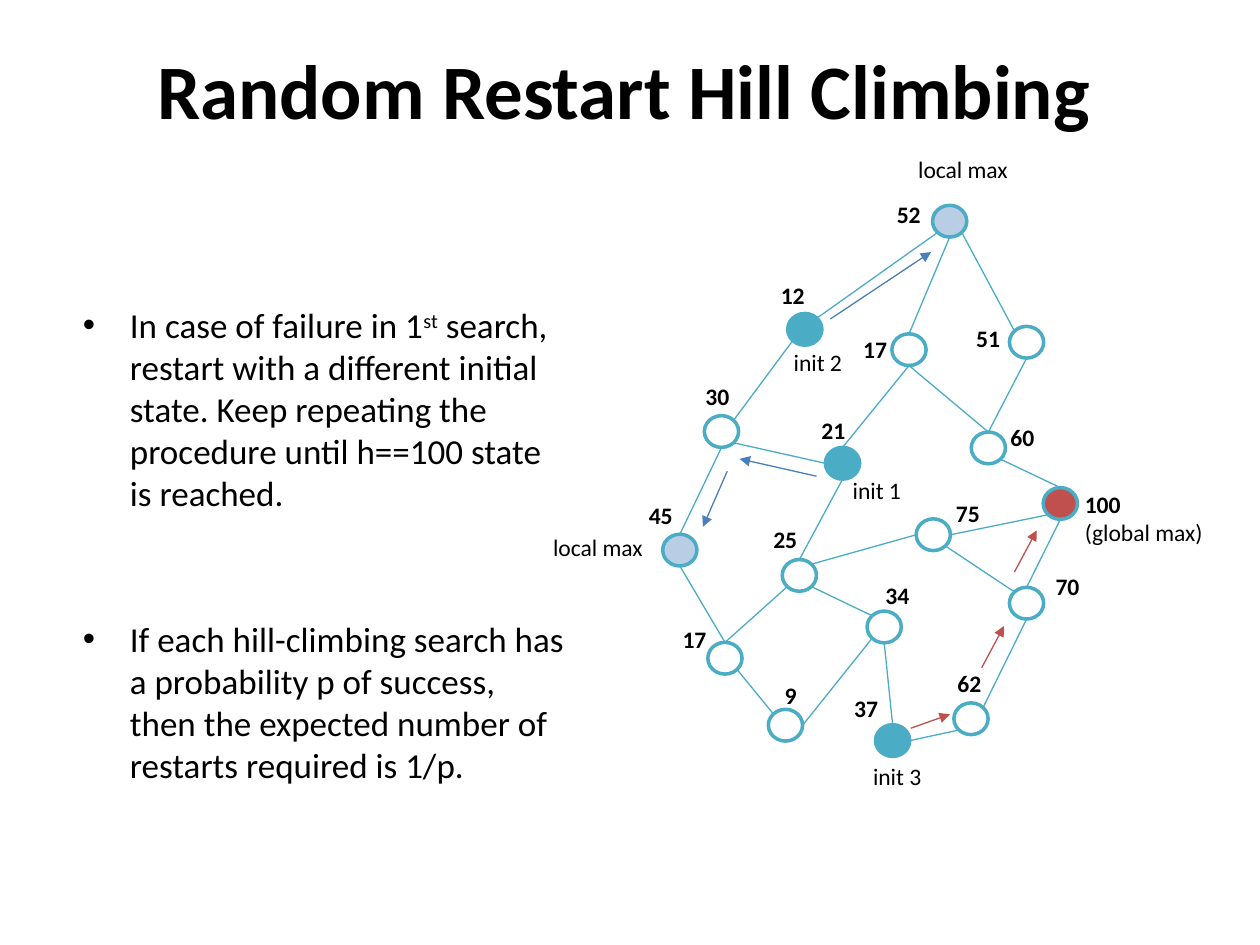
from math import sqrt

from lxml.etree import SubElement
from pptx import Presentation
from pptx.dml.color import RGBColor
from pptx.enum.shapes import MSO_CONNECTOR, MSO_SHAPE
from pptx.enum.text import MSO_ANCHOR, PP_ALIGN
from pptx.oxml.ns import qn
from pptx.util import Cm, Pt

FONT = "Calibri"
COLORS = {
    "text": "000000",
    "graph": "4BACC6",
    "local": "B9CDE5",
    "global": "C0504D",
    "climb": "4B7EBC",
    "success": "C0504D",
}

# Content; all positions and sizes in centimetres
TITLE = "Random Restart Hill Climbing"
BULLETS = [
    [("In case of failure in 1", False), ("st", True),
     (" search, restart with a different initial state. Keep repeating the "
      "procedure until h==100 state is reached.", False)],
    [("If each hill-climbing search has a probability p of success, then the "
      "expected number of restarts required is 1/p.", False)],
]
BULLET_GAP = Pt(59.4)

# state: (value, node left/top, value label left/top, fill)
NODE_W, NODE_H = 0.69, 0.64
STATES = {
    "52": ("52", (18.80, 4.14), (17.83, 3.91), "local"),
    "12": ("12", (15.88, 6.32), (15.49, 5.54), "graph"),
    "17 upper": ("17", (17.98, 6.73), (17.15, 6.63), None),
    "51": ("51", (20.35, 6.58), (19.43, 6.40), None),
    "100": ("100\n(global max)", (21.03, 9.83), (21.62, 9.75), "global"),
    "60": ("60", (19.58, 8.71), (20.12, 8.41), None),
    "21": ("21", (16.64, 9.02), (16.31, 8.26), "graph"),
    "75": ("75", (18.47, 10.46), (19.02, 9.93), None),
    "30": ("30", (14.20, 8.38), (13.97, 7.57), None),
    "25": ("25", (15.77, 11.28), (15.34, 10.46), None),
    "34": ("34", (17.48, 12.32), (17.60, 11.58), None),
    "70": ("70", (20.35, 11.84), (21.03, 11.40), None),
    "62": ("62", (19.23, 14.17), (19.05, 13.36), None),
    "9": ("9", (15.49, 14.30), (15.57, 13.61), None),
    "45": ("45", (13.36, 10.77), (12.83, 9.98), "local"),
    "17 lower": ("17", (14.27, 12.95), (13.51, 12.47), None),
    "37": ("37", (17.65, 14.61), (16.97, 13.87), "graph"),
}

# Each edge leaves and enters a node at a compass point
EDGES = [
    ("52", "SW", "12", "NE"), ("52", "S", "17 upper", "N"),
    ("52", "SE", "51", "NW"), ("30", "NE", "12", "SW"),
    ("21", "N", "17 upper", "S"), ("17 upper", "S", "60", "N"),
    ("51", "S", "60", "N"), ("100", "SW", "75", "E"),
    ("100", "S", "70", "N"), ("60", "SE", "100", "N"),
    ("30", "S", "45", "N"), ("25", "SW", "17 lower", "N"),
    ("17 lower", "SE", "9", "NW"), ("25", "NE", "75", "W"),
    ("9", "E", "34", "SW"), ("25", "SE", "34", "NW"),
    ("37", "N", "34", "S"), ("70", "NW", "75", "SE"),
    ("62", "NE", "70", "S"), ("37", "E", "62", "SW"),
    ("21", "S", "25", "N"), ("30", "SE", "21", "W"),
    ("45", "S", "17 lower", "N"),
]

CAPTIONS = [
    ("local max", (18.26, 3.00)), ("local max", (10.90, 10.62)),
    ("init 1", (16.94, 9.47)), ("init 2", (15.75, 6.88)),
    ("init 3", (17.35, 15.24)),
]
LABEL_WIDTHS = {1: 0.76, 2: 0.99, 6: 1.50, 9: 2.34, 12: 2.92}
LABEL_H, LABEL_LINE = 0.84, 0.58

SEARCH_STEPS = [
    ((16.46, 9.60), (14.91, 9.25), "climb"),
    ((14.66, 9.50), (14.17, 10.62), "climb"),
    ((16.74, 6.43), (18.77, 5.08), "climb"),
    ((18.36, 14.68), (19.15, 14.40), "success"),
    ((19.79, 13.46), (20.24, 12.62), "success"),
    ((20.45, 11.53), (20.90, 10.69), "success"),
]


def rgb(name):
    return RGBColor.from_string(COLORS[name])


def style(font, size, bold=False):
    font.name, font.size, font.bold = FONT, Pt(size), bold
    font.color.rgb = rgb("text")


def add_box(left, top, width, height, wrap=True):
    box = slide.shapes.add_textbox(Cm(left), Cm(top), Cm(width), Cm(height))
    box.text_frame.word_wrap = wrap
    return box.text_frame


def add_label(text, position, bold_first):
    lines = text.split("\n")
    width = LABEL_WIDTHS[max(map(len, lines))]
    frame = add_box(*position, width, LABEL_H + LABEL_LINE * (len(lines) - 1), wrap=False)
    frame.text = text
    for index, paragraph in enumerate(frame.paragraphs):
        style(paragraph.runs[0].font, 13.5, bold_first and index == 0)


def add_line(start, end, color, arrow=False):
    line = slide.shapes.add_connector(
        MSO_CONNECTOR.STRAIGHT, *(Cm(value) for value in (*start, *end)))
    line.line.color.rgb = rgb(color)
    line.line.width = Pt(0.75)
    if arrow:
        SubElement(line.line._get_or_add_ln(), qn("a:tailEnd"), type="triangle")
    SubElement(line._element.spPr, qn("a:effectLst"))


def compass_point(state, direction):
    left, top = STATES[state][1]
    dx = ("E" in direction) - ("W" in direction)
    dy = ("S" in direction) - ("N" in direction)
    reach = 1 / sqrt(dx * dx + dy * dy) / 2
    return left + NODE_W * (0.5 + dx * reach), top + NODE_H * (0.5 + dy * reach)


presentation = Presentation()
presentation.slide_width, presentation.slide_height = Cm(25.4), Cm(19.05)
slide = presentation.slides.add_slide(presentation.slide_layouts[6])

# Title
heading = add_box(0.2, 0.2, 24.77, 3.18)
heading.vertical_anchor = MSO_ANCHOR.MIDDLE
heading.text = TITLE
heading.paragraphs[0].alignment = PP_ALIGN.CENTER
style(heading.paragraphs[0].runs[0].font, 44, True)

# Bulleted explanation
explanation = add_box(1.42, 6.0, 10.29, 8.97)
for index, parts in enumerate(BULLETS):
    bullet = explanation.add_paragraph() if index else explanation.paragraphs[0]
    if index:
        bullet.space_before = BULLET_GAP
    properties = bullet._p.get_or_add_pPr()
    properties.set("marL", str(Cm(0.95)))
    properties.set("indent", str(-Cm(0.95)))
    SubElement(properties, qn("a:buFont"), typeface="Arial")
    SubElement(properties, qn("a:buChar"), char="•")
    for text, superscript in parts:
        run = bullet.add_run()
        run.text = text
        style(run.font, 20)
        if superscript:
            run._r.get_or_add_rPr().set("baseline", "30000")

# Search graph: edges, nodes and value labels
for origin, leave, target, enter in EDGES:
    add_line(compass_point(origin, leave), compass_point(target, enter), "graph")
for value, (left, top), label_position, fill in STATES.values():
    node = slide.shapes.add_shape(
        MSO_SHAPE.FLOWCHART_CONNECTOR, Cm(left), Cm(top), Cm(NODE_W), Cm(NODE_H))
    node.shadow.inherit = False
    node.line.color.rgb = rgb("graph")
    node.line.width = Pt(2)
    if fill:
        node.fill.solid()
        node.fill.fore_color.rgb = rgb(fill)
    else:
        node.fill.background()
    add_label(value, label_position, True)

# Captions and the steps of each search
for caption, position in CAPTIONS:
    add_label(caption, position, False)
for start, end, color in SEARCH_STEPS:
    add_line(start, end, color, arrow=True)

presentation.save("out.pptx")
